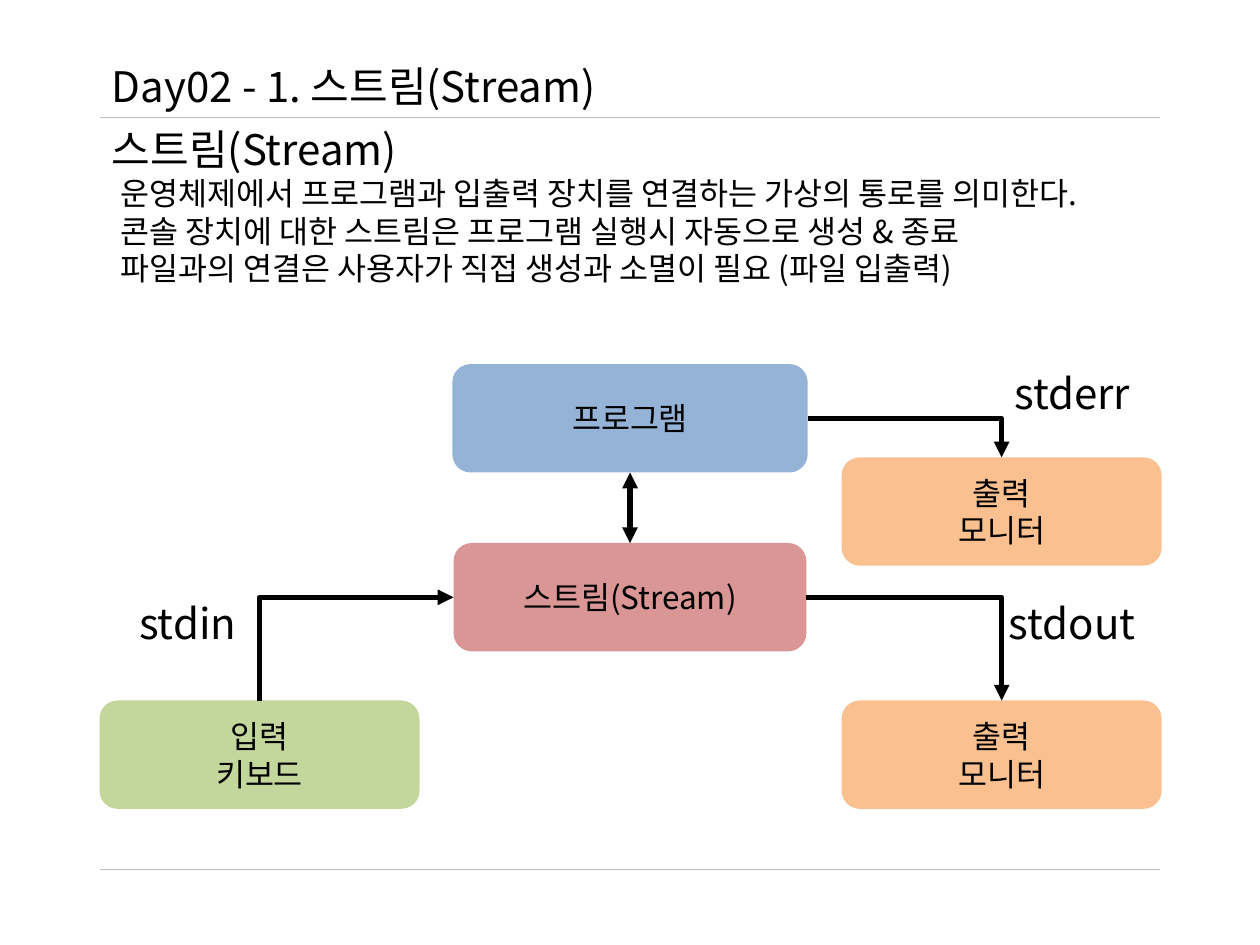
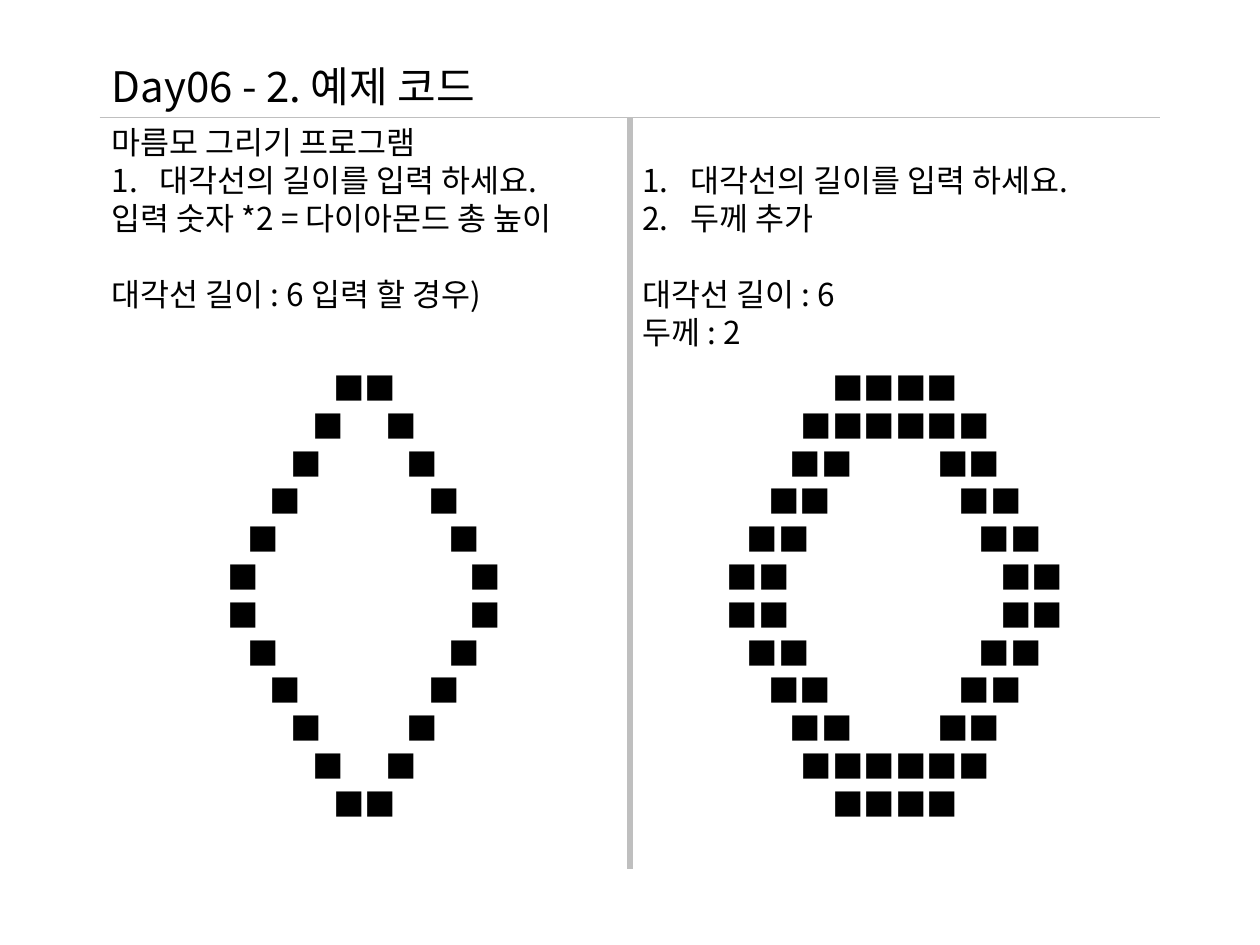
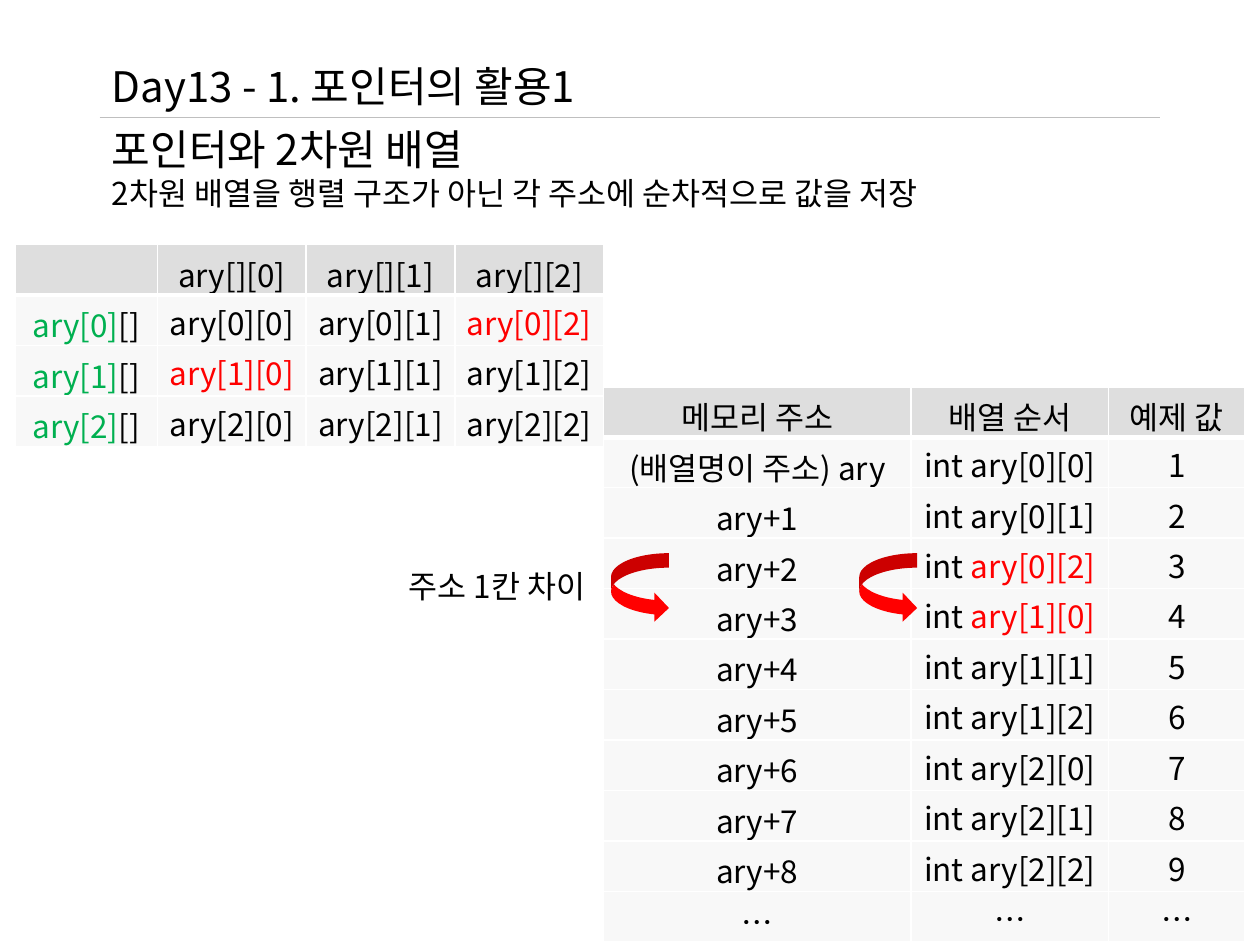
from dataclasses import dataclass
from typing import NamedTuple

import pptx
import pptx.dml.color
import pptx.enum.shapes
import pptx.enum.text
import pptx.oxml
import pptx.oxml.ns
import pptx.util
from lxml import etree
from pptx.util import Inches

qn = pptx.oxml.ns.qn
ALIGN = pptx.enum.text.PP_ALIGN
ANCHOR = pptx.enum.text.MSO_ANCHOR
SHAPE = pptx.enum.shapes.MSO_SHAPE
CONNECTOR = pptx.enum.shapes.MSO_CONNECTOR

FONT = "Noto Sans CJK KR"
COLORS = {
    "text": "000000", "rule": "BFBFBF", "white": "FFFFFF", "body": "F2F2F2",
    "program": "95B3D7", "input": "C3D69B", "output": "FAC090",
    "stream": "D99694", "red": "FF0000", "green": "00B050",
}
LEFT, RIGHT, MIDDLE = 0.79, 9.21, 5
TITLE_TOP, TITLE_RULE, FOOT_RULE = 0.43, 0.93, 6.9
CONTENT_WIDTH = 8.43
LINE_POINTS = 21.7
SQUARE = 0.25
GAP_STEP = 0.335
ROW_HEIGHT = 0.39


class Box(NamedTuple):
    left: float
    top: float
    width: float
    height: float

    def emu(self) -> list:
        return [Inches(value) for value in self]


class Piece(NamedTuple):
    text: str
    color: str = "text"


@dataclass
class Line:
    pieces: str | list[Piece]
    size: int = 18
    align: ALIGN = ALIGN.LEFT
    indent: float = 0
    numbered: bool = False
    blank_before: bool = False
    tabs: tuple = ()


@dataclass
class Node:
    lines: list[str]
    box: Box
    color: str


@dataclass
class Grid:
    box: Box
    widths: list[float]
    rows: list[list]


def rgb(name: str) -> pptx.dml.color.RGBColor:
    return pptx.dml.color.RGBColor.from_string(COLORS[name])


def write_line(paragraph, line: Line) -> None:
    paragraph.alignment = line.align
    properties = paragraph._p.get_or_add_pPr()
    if line.blank_before:
        paragraph.space_before = pptx.util.Pt(LINE_POINTS)
    if line.indent:
        properties.set("marL", str(Inches(line.indent)))
    if line.numbered:
        properties.set("marL", str(Inches(0.38)))
        properties.set("indent", str(Inches(-0.38)))
        etree.SubElement(properties, qn("a:buFont"), typeface="+mj-lt")
        etree.SubElement(properties, qn("a:buAutoNum"), type="arabicPeriod")
    if line.tabs:
        stops = etree.SubElement(properties, qn("a:tabLst"))
        for stop in line.tabs:
            etree.SubElement(stops, qn("a:tab"), pos=str(Inches(stop)), algn="l")
    pieces = [Piece(line.pieces)] if isinstance(line.pieces, str) else line.pieces
    for piece in pieces:
        run = paragraph.add_run()
        run.text = piece.text
        if piece.color != "text":
            run.font.color.rgb = rgb(piece.color)
    paragraph.font.size = pptx.util.Pt(line.size)
    paragraph.font.name = FONT
    paragraph.font.color.rgb = rgb("text")
    etree.SubElement(properties.find(qn("a:defRPr")), qn("a:ea"), typeface=FONT)


def write_lines(frame, lines: list[Line]) -> None:
    for index, line in enumerate(lines):
        write_line(frame.add_paragraph() if index else frame.paragraphs[0], line)


def add_text(slide, box: Box, lines: list[Line]) -> None:
    frame = slide.shapes.add_textbox(*box.emu()).text_frame
    frame.word_wrap = True
    write_lines(frame, lines)


def add_line(slide, start: tuple, end: tuple, color: str = "rule", width: float = 0.75,
             kind: CONNECTOR = CONNECTOR.STRAIGHT):
    points = [Inches(value) for value in (*start, *end)]
    connector = slide.shapes.add_connector(kind, *points)
    connector.line.color.rgb = rgb(color)
    connector.line.width = pptx.util.Pt(width)
    etree.SubElement(connector._element.spPr, qn("a:effectLst"))
    return connector


def add_shape(slide, kind: SHAPE, box: Box, color: str):
    shape = slide.shapes.add_shape(kind, *box.emu())
    shape.shadow.inherit = False
    shape.fill.solid()
    shape.fill.fore_color.rgb = rgb(color)
    shape.line.fill.background()
    return shape


def add_node(slide, node: Node):
    shape = add_shape(slide, SHAPE.ROUNDED_RECTANGLE, node.box, node.color)
    shape.text_frame.vertical_anchor = ANCHOR.MIDDLE
    write_lines(shape.text_frame, [Line(text, align=ALIGN.CENTER) for text in node.lines])
    return shape


def add_flow(slide, source, source_site: int, target, target_site: int,
             ends: tuple = ("tailEnd",), bent: bool = True) -> None:
    """Join two nodes by connection sites: 0 top, 1 left, 2 bottom, 3 right."""
    kind = CONNECTOR.ELBOW if bent else CONNECTOR.STRAIGHT
    connector = add_line(slide, (0, 0), (1, 1), "text", 3, kind)
    connector.begin_connect(source, source_site)
    connector.end_connect(target, target_site)
    properties = connector._element.spPr
    if bent:
        properties.find(qn("a:prstGeom")).set("prst", "bentConnector2")
    for end in ends:
        etree.SubElement(properties.find(qn("a:ln")), qn(f"a:{end}"), type="triangle")


def style_cell(cell, header: bool, narrow: bool) -> None:
    cell.vertical_anchor = ANCHOR.MIDDLE
    side, edge = (0.06, 0.03) if narrow else (0.1, 0.05)
    cell.margin_left = cell.margin_right = Inches(side)
    cell.margin_top = cell.margin_bottom = Inches(edge)
    cell.fill.solid()
    cell.fill.fore_color.rgb = rgb("rule" if header else "body")
    properties = cell._tc.get_or_add_tcPr()
    etree.SubElement(properties.find(".//" + qn("a:srgbClr")), qn("a:alpha"), val="50000")
    for index, name in enumerate(("lnL", "lnR", "lnT", "lnB")):
        points = 3 if header and name == "lnB" else 1
        border = etree.Element(qn(f"a:{name}"), w=str(pptx.util.Pt(points)))
        fill = etree.SubElement(border, qn("a:solidFill"))
        etree.SubElement(fill, qn("a:srgbClr"), val=COLORS["white"])
        properties.insert(index, border)


def add_grid(slide, grid: Grid) -> None:
    table = slide.shapes.add_table(len(grid.rows), len(grid.widths), *grid.box.emu()).table
    table.first_row = table.horz_banding = False
    for column, width in zip(table.columns, grid.widths):
        column.width = Inches(width)
    for r, row in enumerate(grid.rows):
        table.rows[r].height = Inches(ROW_HEIGHT)
        for c, content in enumerate(row):
            cell = table.cell(r, c)
            style_cell(cell, header=r == 0, narrow=r > 0 and c > 0)
            if content:
                write_line(cell.text_frame.paragraphs[0], Line(content, align=ALIGN.CENTER))


def add_diamond(slide, box: Box, thickness: int, half: int = 6) -> None:
    """Write a symmetric outline of squares whose gap grows by one step a row."""
    center = box.width / 2 - 0.1
    rows = []
    for step in range(half):
        if step < thickness:
            solid = "■" * (2 * thickness + 2 * step)
            if step == 0 or thickness > 1:
                rows.append(Line(solid, align=ALIGN.CENTER))
                continue
        gap = step * GAP_STEP / 2
        side = "■" * thickness
        stops = (round(center - gap - SQUARE * thickness, 2), round(center + gap, 2))
        rows.append(Line(f"\t{side}\t{side}", tabs=stops))
    add_text(slide, box, rows + rows[::-1])


def new_slide(deck, title: str):
    slide = deck.slides.add_slide(deck.slide_layouts[6])
    add_text(slide, Box(LEFT, TITLE_TOP, CONTENT_WIDTH, 0.5), [Line(title, 24)])
    add_line(slide, (LEFT, TITLE_RULE), (RIGHT, TITLE_RULE))
    return slide


def build_stream(deck) -> None:
    slide = new_slide(deck, "Day02 - 1. 스트림(Stream)")
    add_text(slide, Box(LEFT, TITLE_RULE, CONTENT_WIDTH, 1.41), [
        Line("스트림(Stream)", 24),
        Line("운영체제에서 프로그램과 입출력 장치를 연결하는 가상의 통로를 의미한다.", indent=0.07),
        Line("콘솔 장치에 대한 스트림은 프로그램 실행시 자동으로 생성 & 종료", indent=0.07),
        Line("파일과의 연결은 사용자가 직접 생성과 소멸이 필요 (파일 입출력)", indent=0.07),
    ])
    add_line(slide, (LEFT, FOOT_RULE), (RIGHT, FOOT_RULE))

    monitor = ["출력", "모니터"]
    program, keyboard, stream, out_monitor, err_monitor = [add_node(slide, node) for node in (
        Node(["프로그램"], Box(3.59, 2.89, 2.82, 0.86), "program"),
        Node(["입력", "키보드"], Box(LEFT, 5.56, 2.54, 0.86), "input"),
        Node(["스트림(Stream)"], Box(3.6, 4.31, 2.8, 0.86), "stream"),
        Node(monitor, Box(6.68, 5.56, 2.54, 0.86), "output"),
        Node(monitor, Box(6.68, 3.63, 2.54, 0.86), "output"),
    )]
    add_flow(slide, stream, 1, keyboard, 0, ends=("headEnd",))
    add_flow(slide, stream, 3, out_monitor, 0)
    add_flow(slide, program, 3, err_monitor, 0)
    add_flow(slide, program, 2, stream, 0, ends=("headEnd", "tailEnd"), bent=False)
    for name, left, top in (("stdin", 0.8, 4.69), ("stdout", 7.82, 4.69), ("stderr", 7.82, 2.87)):
        add_text(slide, Box(left, top, 1.38, 0.5), [Line(name, 24, ALIGN.CENTER)])


def build_diamonds(deck) -> None:
    slide = new_slide(deck, "Day06 - 2. 예제 코드")
    add_line(slide, (MIDDLE, TITLE_RULE), (MIDDLE, FOOT_RULE), width=3)
    ask_length = Line("대각선의 길이를 입력 하세요.", numbered=True)
    add_text(slide, Box(LEFT, TITLE_RULE, 4.21, 1.62), [
        Line("마름모 그리기 프로그램"),
        ask_length,
        Line("입력 숫자 *2 = 다이아몬드 총 높이"),
        Line("대각선 길이 : 6 입력 할 경우)", blank_before=True),
    ])
    add_text(slide, Box(MIDDLE, TITLE_RULE + 0.3, 4.21, 1.62), [
        ask_length,
        Line("두께 추가", numbered=True),
        Line("대각선 길이 : 6", blank_before=True),
        Line("두께 : 2"),
    ])
    add_diamond(slide, Box(1.38, 2.88, 3.03, 3.74), thickness=1)
    add_diamond(slide, Box(5.27, 2.88, 3.67, 3.74), thickness=2)


def build_pointers(deck) -> None:
    slide = new_slide(deck, "Day13 - 1. 포인터의 활용1")
    add_text(slide, Box(LEFT, TITLE_RULE, CONTENT_WIDTH, 0.81), [
        Line("포인터와 2차원 배열", 24),
        Line("2차원 배열을 행렬 구조가 아닌 각 주소에 순차적으로 값을 저장"),
    ])

    size = range(3)
    neighbours = ("ary[0][2]", "ary[1][0]")
    elements = [[Piece(name, "red" if name in neighbours else "text")
                 for name in (f"ary[{r}][{c}]" for c in size)] for r in size]
    memory = [["메모리 주소", "배열 순서", "예제 값"]]
    for offset, element in enumerate(sum(elements, [])):
        address = f"ary+{offset}" if offset else "(배열명이 주소) ary"
        memory.append([address, [Piece("int "), element], str(offset + 1)])
    memory.append(["…"] * 3)
    matrix = [[""] + [f"ary[][{c}]" for c in size]]
    for r, row in enumerate(elements):
        matrix.append([[Piece(f"ary[{r}]", "green"), Piece("[]")]] + [[e] for e in row])

    add_grid(slide, Grid(Box(4.79, 3.07, 5.09, 4.3), [2.44, 1.57, 1.08], memory))
    add_grid(slide, Grid(Box(0.12, 1.94, 4.66, 1.56), [1.13] + [1.18] * 3, matrix))
    for left in (4.85, 6.82):
        arrow = add_shape(slide, SHAPE.CURVED_LEFT_ARROW, Box(left, 4.39, 0.46, 0.55), "red")
        arrow._element.spPr.find(qn("a:xfrm")).set("flipH", "1")
    add_text(slide, Box(3.03, 4.45, 1.83, 0.4), [Line("주소 1칸 차이", align=ALIGN.CENTER)])


def main() -> None:
    deck = pptx.Presentation()
    deck.slide_width, deck.slide_height = Inches(10), Inches(7.5)
    build_stream(deck)
    build_diamonds(deck)
    build_pointers(deck)
    deck.save("out.pptx")


if __name__ == "__main__":
    main()
